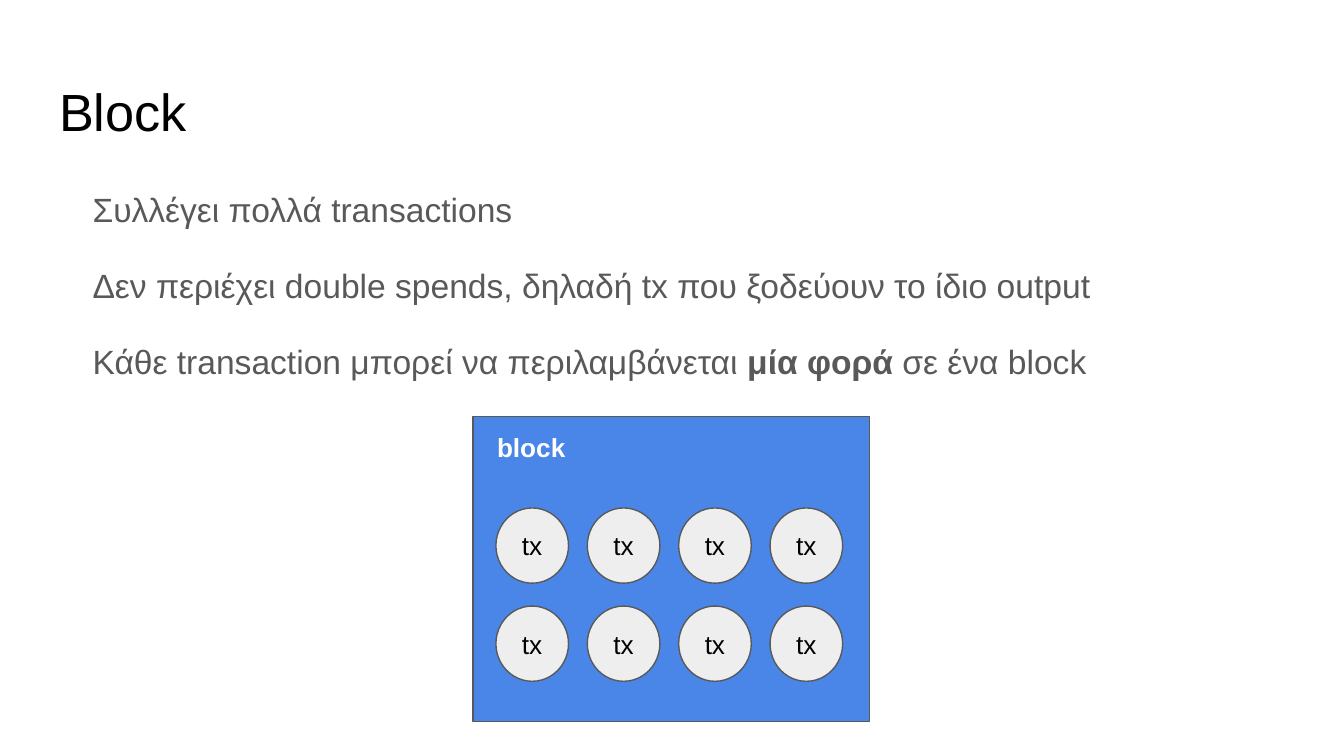
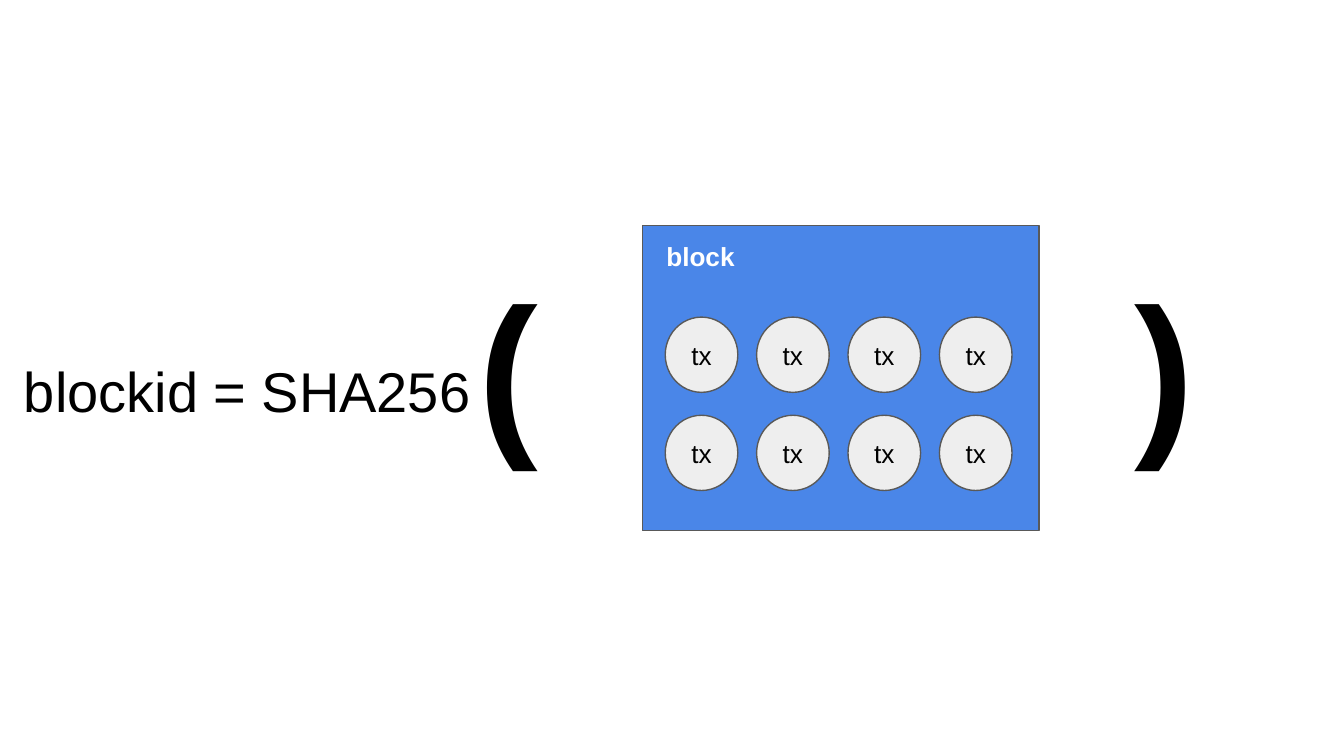
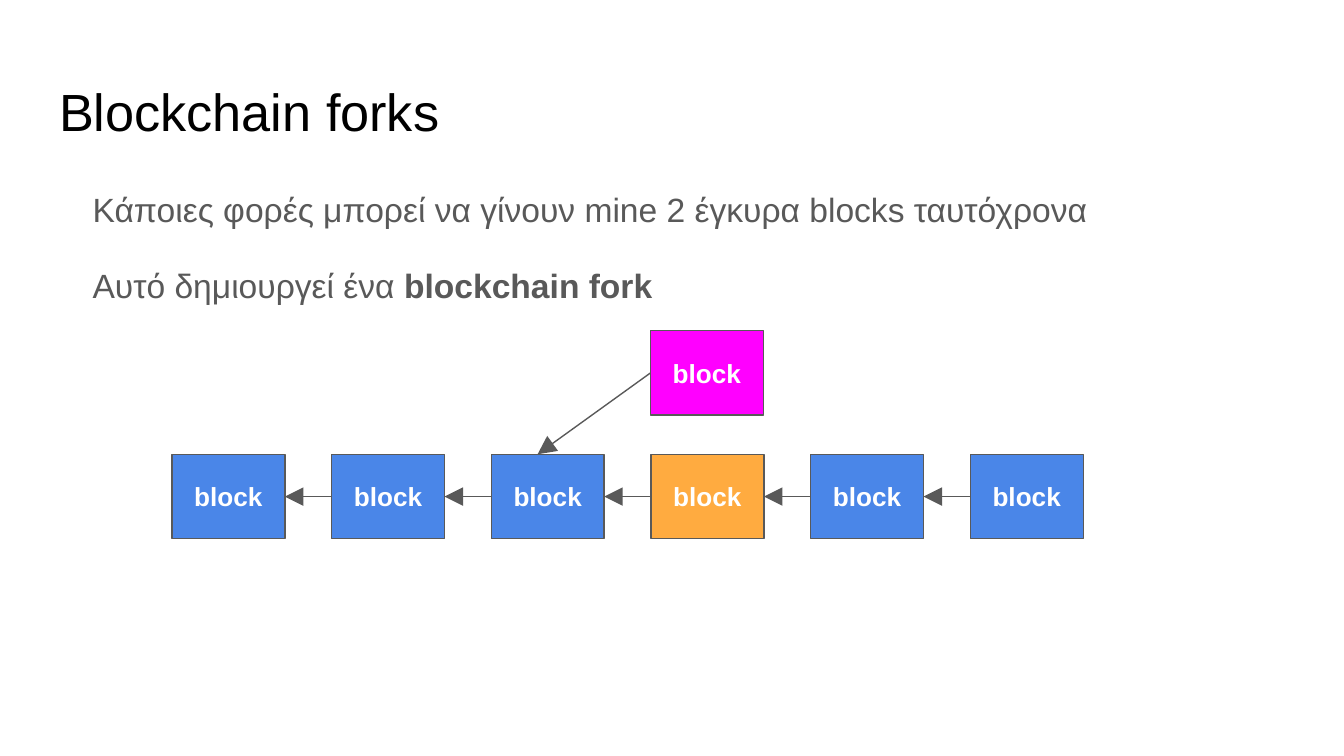
from pptx import Presentation
from pptx.dml.color import RGBColor
from pptx.enum.shapes import MSO_CONNECTOR, MSO_SHAPE
from pptx.enum.text import MSO_ANCHOR, MSO_AUTO_SIZE, PP_ALIGN
from pptx.oxml.ns import qn
from pptx.util import Inches, Pt
from lxml import etree

RECT, OVAL = MSO_SHAPE.RECTANGLE, MSO_SHAPE.OVAL
STRAIGHT = MSO_CONNECTOR.STRAIGHT
TOP, MIDDLE = MSO_ANCHOR.TOP, MSO_ANCHOR.MIDDLE
LEFT, CENTER = PP_ALIGN.LEFT, PP_ALIGN.CENTER
NO_FIT = MSO_AUTO_SIZE.NONE
TITLE_ONLY, BLANK = 5, 6
SIDE_LEFT, SIDE_RIGHT = 1, 3

FONT = "Arial"
COLORS = {
    "black": "000000",
    "white": "FFFFFF",
    "gray": "595959",
    "light": "EEEEEE",
    "blue": "4A86E8",
    "orange": "FFAB40",
    "magenta": "FF00FF",
}


def rgb(name):
    return RGBColor.from_string(COLORS[name])


def box(x, y, w, h):
    return [Inches(v) for v in (x, y, w, h)]


# Text
def format_frame(tf, anchor=TOP):
    tf.word_wrap = True
    tf.auto_size = NO_FIT
    tf.vertical_anchor = anchor
    tf.margin_left = tf.margin_right = Inches(0.1)
    tf.margin_top = tf.margin_bottom = Inches(0.1)


def format_run(r, size, color, bold=False):
    r.font.name = FONT
    r.font.size = Pt(size)
    r.font.bold = bold
    r.font.color.rgb = rgb(color)


def set_text(sp, text, size, color, bold=False, align=LEFT, anchor=TOP):
    tf = sp.text_frame
    format_frame(tf, anchor)
    tf.text = text
    p = tf.paragraphs[0]
    p.alignment = align
    format_run(p.runs[0], size, color, bold)


def add_label(slide, pos, text, size, color, bold=False, anchor=TOP):
    sp = slide.shapes.add_textbox(*box(*pos))
    set_text(sp, text, size, color, bold, anchor=anchor)
    return sp


def add_title(slide, text):
    sp = slide.shapes.title
    sp.left, sp.top, sp.width, sp.height = box(0.34, 0.49, 9.32, 0.63)
    set_text(sp, text, 28, "black")


def add_body(slide, paragraphs):
    """Each paragraph is a list of (text, bold) pieces."""
    tf = slide.shapes.add_textbox(*box(0.34, 1.26, 9.32, 3.74)).text_frame
    format_frame(tf)
    for i, pieces in enumerate(paragraphs):
        p = tf.add_paragraph() if i else tf.paragraphs[0]
        p.line_spacing = 1.15
        p.space_after = Pt(16)
        pPr = p._p.get_or_add_pPr()
        pPr.set("marL", str(Inches(0.5)))
        pPr.set("indent", str(-Inches(0.25)))
        for text, bold in pieces:
            r = p.add_run()
            r.text = text
            format_run(r, 18, "gray", bold)


def add_tab_stop(sp, position):
    pPr = sp.text_frame.paragraphs[0]._p.get_or_add_pPr()
    tabs = etree.SubElement(pPr, qn("a:tabLst"))
    etree.SubElement(tabs, qn("a:tab"), pos=str(Inches(position)), algn="l")


# Shapes
def add_outlined(slide, kind, pos, fill):
    sp = slide.shapes.add_shape(kind, *box(*pos))
    sp.shadow.inherit = False
    sp.fill.solid()
    sp.fill.fore_color.rgb = rgb(fill)
    sp.line.color.rgb = rgb("gray")
    sp.line.width = Pt(0.75)
    return sp


def add_tx_block(slide, x, y):
    add_outlined(slide, RECT, (x, y, 2.95, 2.27), "blue")
    add_label(slide, (x + 0.08, y + 0.01, 2.46, 0.42), "block", 14, "white", True)
    for col in range(4):
        for row in range(2):
            pos = (x + 0.17 + 0.68 * col, y + 0.68 + 0.73 * row, 0.54, 0.56)
            sp = add_outlined(slide, OVAL, pos, "light")
            set_text(sp, "tx", 14, "black", align=CENTER, anchor=MIDDLE)


def add_chain_block(slide, x, y, fill):
    sp = add_outlined(slide, RECT, (x, y, 0.84, 0.63), fill)
    set_text(sp, "block", 14, "white", True, CENTER, MIDDLE)
    return sp


def add_arrow(slide, block, end_x=0, end_y=0):
    """Arrow from the left side of a block to a point."""
    cxn = slide.shapes.add_connector(STRAIGHT, 0, 0, Inches(end_x), Inches(end_y))
    cxn.begin_connect(block, SIDE_LEFT)
    cxn.line.color.rgb = rgb("gray")
    cxn.line.width = Pt(0.75)
    etree.SubElement(cxn.line._get_or_add_ln(), qn("a:tailEnd"),
                     type="triangle", w="lg", len="lg")
    etree.SubElement(cxn._element.spPr, qn("a:effectLst"))
    return cxn


# Slides
def build_block_slide(prs):
    slide = prs.slides.add_slide(prs.slide_layouts[TITLE_ONLY])
    add_title(slide, "Block")
    add_body(slide, [
        [("Συλλέγει πολλά transactions", False)],
        [("Δεν περιέχει double spends, δηλαδή tx που ξοδεύουν το ίδιο output", False)],
        [("Κάθε transaction μπορεί να περιλαμβάνεται ", False),
         ("μία φορά ", True), ("σε ένα block", False)],
    ])
    add_tx_block(slide, 3.52, 3.1)


def build_blockid_slide(prs):
    slide = prs.slides.add_slide(prs.slide_layouts[BLANK])
    add_label(slide, (0.08, 1.26, 3.86, 3.28), "blockid = SHA256", 30, "black",
              anchor=MIDDLE)
    parens = add_label(slide, (3.46, 1.8, 5.66, 2.03), "(\t)", 96, "black", True)
    add_tab_stop(parens, 4.88)
    add_tx_block(slide, 4.78, 1.68)


def build_forks_slide(prs):
    slide = prs.slides.add_slide(prs.slide_layouts[TITLE_ONLY])
    add_title(slide, "Blockchain forks")
    add_body(slide, [
        [("Κάποιες φορές μπορεί να γίνουν mine 2 έγκυρα blocks ταυτόχρονα", False)],
        [("Αυτό δημιουργεί ένα ", False), ("blockchain fork", True)],
    ])
    fills = ["blue", "blue", "blue", "orange", "blue", "blue"]
    first, last = 1.28, 7.22
    pitch = (last - first) / (len(fills) - 1)
    chain = [add_chain_block(slide, first + pitch * i, 3.38, fill)
             for i, fill in enumerate(fills)]
    for previous, block in zip(chain, chain[1:]):
        add_arrow(slide, block).end_connect(previous, SIDE_RIGHT)
    fork = add_chain_block(slide, 4.84, 2.46, "magenta")
    add_arrow(slide, fork, 4, 3.38)


def main():
    prs = Presentation()
    prs.slide_width = Inches(10)
    prs.slide_height = prs.slide_width * 9 // 16
    build_block_slide(prs)
    build_blockid_slide(prs)
    build_forks_slide(prs)
    prs.save("out.pptx")


if __name__ == "__main__":
    main()
